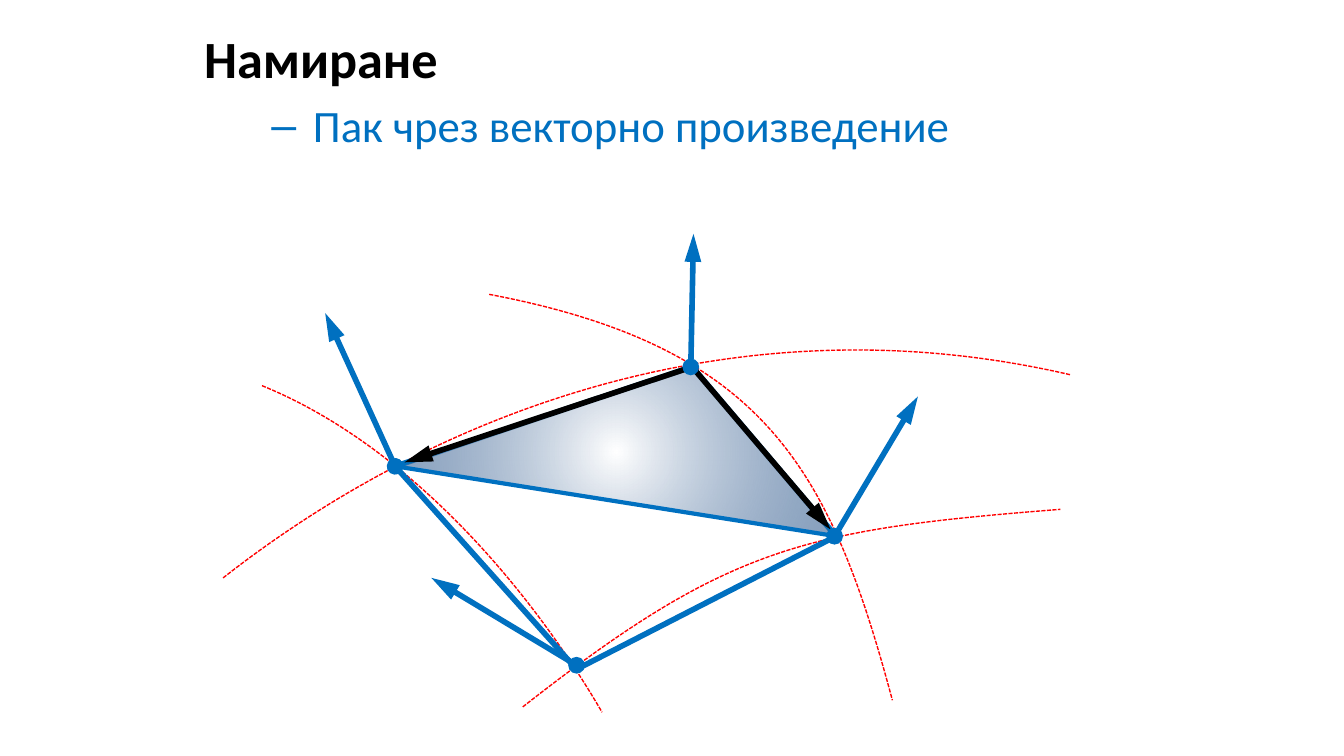
from lxml import etree
from pptx import Presentation
from pptx import util as u
from pptx.dml.color import RGBColor
from pptx.enum import dml, shapes
from pptx.oxml import parse_xml
from pptx.oxml.ns import nsdecls, qn

BLUE, RED, BLACK, SHADE = "0070C0", "FF0000", "000000", "376092"
TITLE = "Намиране"
POINT = "Пак чрез векторно произведение"

TOP, RIGHT, LEFT, BOTTOM = (5.15, 2.73), (6.22, 3.99), (2.94, 3.47), (4.29, 4.98)
CURVES = [
    [(3.89, 5.26), (5.42, 4.06), (5.99, 3.94), (7.89, 3.79)],
    [(3.64, 2.19), (5.69, 2.58), (6.18, 3.49), (6.64, 5.21)],
    [(1.95, 2.87), (3.08, 3.33), (3.98, 4.44), (4.48, 5.3)],
    [(1.66, 4.3), (3.19, 3.1), (5.44, 2.2), (7.97, 2.79)],
]
EDGES = [(TOP, (6.18, 3.94)), (TOP, (3.01, 3.44))]
NORMALS = [
    ((5.14, 2.73), (5.16, 1.74)),
    ((6.21, 3.99), (6.83, 2.95)),
    (LEFT, (2.42, 2.33)),
    ((4.29, 4.95), (3.21, 4.3)),
]


def color(value):
    return RGBColor.from_string(value)


def emu(point):
    return tuple(int(u.Inches(value)) for value in point)


def style_line(line, value, width):
    line.color.rgb = color(value)
    line.width = u.Pt(width)


def outline(page, points, value, width, close):
    builder = page.shapes.build_freeform(*emu(points[0]), scale=1.0)
    builder.add_line_segments([emu(point) for point in points[1:]], close=close)
    shape = builder.convert_to_shape()
    shape.shadow.inherit = False
    shape.fill.background()
    style_line(shape.line, value, width)
    return shape


def bezier(points, t):
    weights = ((1 - t) ** 3, 3 * t * (1 - t) ** 2, 3 * t * t * (1 - t), t ** 3)
    return tuple(sum(w * p[axis] for w, p in zip(weights, points)) for axis in (0, 1))


def curve(page, points):
    steps = 40
    shape = outline(page, [bezier(points, i / steps) for i in range(steps + 1)], RED, 0.75, False)
    shape.line.dash_style = dml.MSO_LINE.SQUARE_DOT
    route = next(shape._element.iter(qn("a:path")))
    for segment in route.findall(qn("a:lnTo")):
        route.remove(segment)
    cubic = etree.SubElement(route, qn("a:cubicBezTo"))
    for point in points[1:]:
        x, y = emu(point)
        etree.SubElement(cubic, qn("a:pt"), x=str(x - shape.left), y=str(y - shape.top))


def radial_fill(shape):
    shape.fill.gradient()
    gradient = shape._element.spPr.find(qn("a:gradFill"))
    gradient.getparent().replace(gradient, parse_xml(
        f'<a:gradFill {nsdecls("a")} rotWithShape="1"><a:gsLst>'
        '<a:gs pos="0"><a:srgbClr val="FFFFFF"/></a:gs>'
        f'<a:gs pos="100000"><a:srgbClr val="{SHADE}"><a:alpha val="60000"/></a:srgbClr></a:gs>'
        '</a:gsLst><a:path path="circle">'
        '<a:fillToRect l="50000" t="50000" r="50000" b="50000"/></a:path></a:gradFill>'))


def arrow(page, start, end, value, dot):
    connector = page.shapes.add_connector(
        shapes.MSO_CONNECTOR.STRAIGHT, *emu(start), *emu(end))
    style_line(connector.line, value, 3)
    line = connector.line._get_or_add_ln()
    if dot:
        etree.SubElement(line, qn("a:headEnd"), type="oval")
    etree.SubElement(line, qn("a:tailEnd"), type="triangle", w="med", len="lg")
    etree.SubElement(connector._element.spPr, qn("a:effectLst"))


def add_span(para, words, size, value, bold):
    span = para.add_run()
    span.text = words
    span.font.name = "Calibri"
    span.font.size = u.Pt(size)
    span.font.bold = bold
    span.font.color.rgb = color(value)


def add_text(page):
    box = page.shapes.add_textbox(*emu((1.42, 0.15, 8.58, 5.17)))
    frame = box.text_frame
    frame.word_wrap = True
    add_span(frame.paragraphs[0], TITLE, 28, BLACK, True)
    para = frame.add_paragraph()
    para.level = 1
    para.space_before = u.Pt(4.5)
    properties = para._p.get_or_add_pPr()
    properties.set("marL", str(int(u.Inches(0.81))))
    properties.set("indent", str(int(u.Inches(-0.31))))
    etree.SubElement(properties, qn("a:buFont"), typeface="Arial")
    etree.SubElement(properties, qn("a:buChar"), char="–")
    add_span(para, POINT, 24, BLUE, False)


def main():
    deck = Presentation()
    deck.slide_width = u.Inches(10)
    deck.slide_height = deck.slide_width * 9 // 16
    page = deck.slides.add_slide(deck.slide_layouts[6])
    add_text(page)
    for points in CURVES:
        curve(page, points)
    outline(page, [TOP, RIGHT, BOTTOM, LEFT], BLUE, 3, True)
    radial_fill(outline(page, [TOP, RIGHT, LEFT], BLUE, 2.25, True))
    for start, end in EDGES:
        arrow(page, start, end, BLACK, False)
    for start, end in NORMALS:
        arrow(page, start, end, BLUE, True)
    deck.save("out.pptx")


if __name__ == "__main__":
    main()
